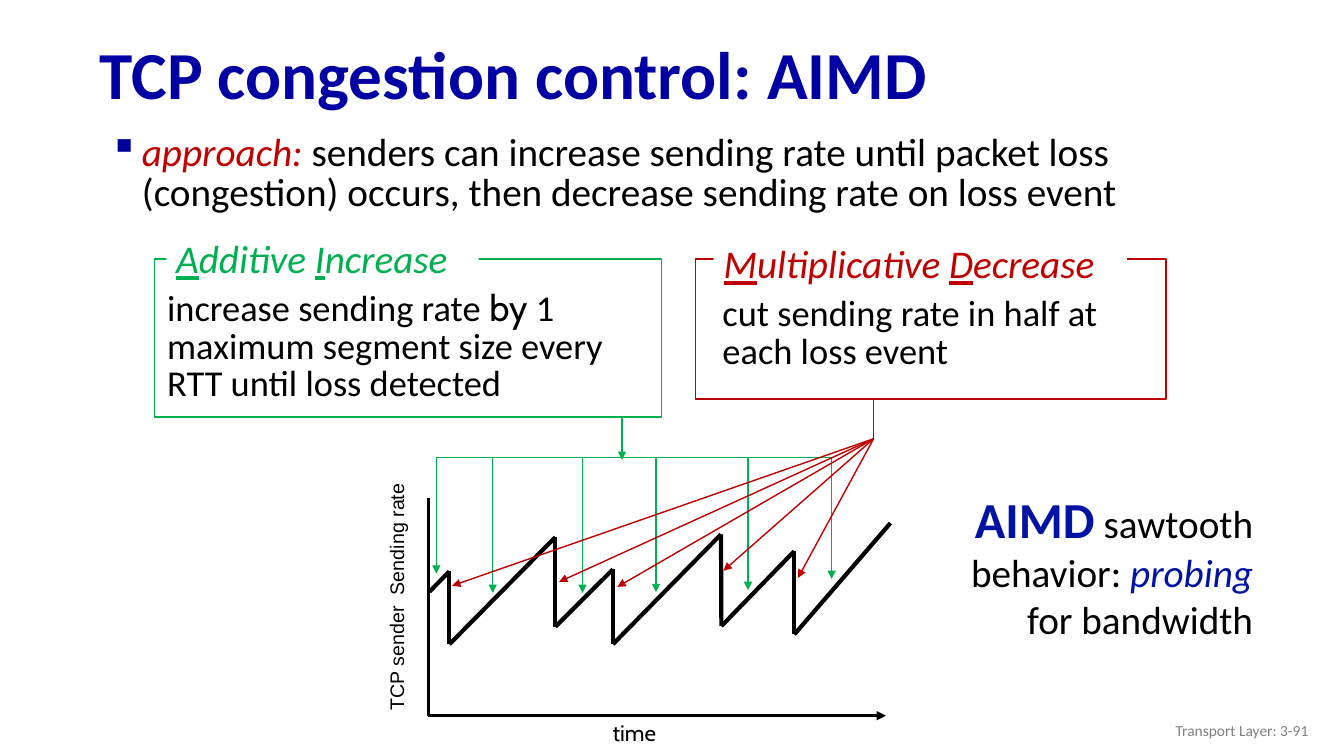
from dataclasses import dataclass
from itertools import pairwise

from lxml import etree
from pptx import Presentation
from pptx import util as u
from pptx.dml.color import RGBColor
from pptx.enum import shapes, text
from pptx.oxml.ns import qn

Pt = u.Pt


@dataclass(frozen=True)
class Theme:
    title: str = "0000A3"
    bullet: str = "000099"
    accent: str = "0013A3"
    ink: str = "000000"
    paper: str = "FFFFFF"
    grey: str = "808080"
    increase: str = "00B050"
    decrease: str = "C00000"
    font: str = "Calibri"
    axis_font: str = "Arial"
    alt_font: str = "Cabin"
    title_size: float = 48
    lead_size: float = 36
    body_size: float = 28
    panel_size: float = 26
    time_size: float = 16
    axis_size: float = 14
    footer_size: float = 11
    thin: float = 1
    axis_line: float = 2.25
    curve: float = 3


T = Theme()


def rgb(value):
    return RGBColor.from_string(value)


def write(p, runs, size=T.body_size, color=T.ink, font=T.font, align=None, spacing=None):
    """Fill a paragraph with (text, overrides) runs."""
    if align is not None:
        p.alignment = align
    if spacing:
        p.line_spacing = spacing
    for words, own in runs:
        r = p.add_run()
        r.text = words
        r.font.size = Pt(own.get("size", size))
        r.font.name = own.get("font", font)
        r.font.color.rgb = rgb(own.get("color", color))
        r.font.bold = own.get("bold", False)
        r.font.italic = own.get("italic", False)
        r.font.underline = own.get("underline", False)


def add_text(s, box, *paragraphs, wrap=True, grow=False, fill=None, indent=0, hang=0,
             bullet=None, anchor=text.MSO_ANCHOR.TOP, **fmt):
    """Add a text box, or a filled rectangle holding text."""
    at = [Pt(v) for v in box]
    if fill:
        sp = add_rect(s, box, fill)
        fmt.setdefault("align", text.PP_ALIGN.LEFT)
    else:
        sp = s.shapes.add_textbox(*at)
    tf = sp.text_frame
    tf.word_wrap = wrap
    tf.vertical_anchor = anchor
    if grow:
        tf.auto_size = text.MSO_AUTO_SIZE.SHAPE_TO_FIT_TEXT
    for i, runs in enumerate(paragraphs):
        p = tf.paragraphs[0] if i == 0 else tf.add_paragraph()
        pPr = p._p.get_or_add_pPr()
        if indent:
            pPr.set("marL", str(Pt(indent)))
            pPr.set("indent", str(-Pt(hang)))
        if bullet:
            clr = etree.SubElement(pPr, qn("a:buClr"))
            etree.SubElement(clr, qn("a:srgbClr"), val=T.bullet)
            etree.SubElement(pPr, qn("a:buChar"), char=bullet)
        write(p, runs, **fmt)
    return sp


def add_rect(s, box, fill, line=None):
    sp = s.shapes.add_shape(shapes.MSO_SHAPE.RECTANGLE, *(Pt(v) for v in box))
    sp.shadow.inherit = False
    sp.fill.solid()
    sp.fill.fore_color.rgb = rgb(fill)
    if line:
        sp.line.color.rgb = rgb(line)
        sp.line.width = Pt(T.thin)
    else:
        sp.line.fill.background()
    return sp


def add_line(s, start, end, color=T.ink, width=T.thin, arrow=False):
    c = s.shapes.add_connector(shapes.MSO_CONNECTOR.STRAIGHT, *(Pt(v) for v in (*start, *end)))
    c.line.color.rgb = rgb(color)
    c.line.width = Pt(width)
    if arrow:
        etree.SubElement(c.line._get_or_add_ln(), qn("a:tailEnd"), type="triangle")
    etree.SubElement(c._element.spPr, qn("a:effectLst"))


def heading(s, box):
    title = s.shapes.title
    title.left, title.top, title.width, title.height = (Pt(v) for v in box)
    tf = title.text_frame
    tf.word_wrap = True
    tf.vertical_anchor = text.MSO_ANCHOR.MIDDLE
    write(tf.paragraphs[0], [("TCP congestion control: AIMD", {"bold": True})],
          size=T.title_size, color=T.title, align=text.PP_ALIGN.LEFT, spacing=0.9)


def approach(s, box):
    add_text(s, box, [
        ("approach: ", {"color": T.decrease, "italic": True}),
        ("senders can increase sending rate until packet loss (congestion) occurs, "
         "then decrease sending rate on loss event", {})],
        indent=23, hang=23, bullet="▪", spacing=0.85)


def takeaway(s, box):
    add_text(s, box,
             [("AIMD", {"size": T.lead_size, "color": T.accent, "bold": True}),
              (" sawtooth", {})],
             [("behavior: ", {}), ("probing", {"color": T.accent, "italic": True})],
             [("for bandwidth", {})],
             wrap=False, grow=True, align=text.PP_ALIGN.RIGHT)


def sawtooth_chart(s, box):
    x, y, w, h = box
    # Sawtooth curve, as offsets from the top of the rate axis
    corners = [(0.7, 67), (15, 52.5), (15, 104.5), (90.7, 28), (90.7, 92), (131.8, 51),
               (131.8, 104.5), (209, 26), (209.3, 91.5), (261.4, 38), (261.4, 97.5), (330, 18)]
    for (x1, y1), (x2, y2) in pairwise(corners):
        add_line(s, (x + x1, y + y1), (x + x2, y + y2), width=T.curve)
    # Axes and their labels
    label = add_text(s, (x - 112.3, y + 57, 179.3, 24.5), [("TCP sender  Sending rate", {})],
                     fill=T.paper, grow=True, size=T.axis_size, font=T.axis_font)
    label.rotation = 270
    add_line(s, (x, y + h), (x + w, y + h), width=T.axis_line, arrow=True)
    add_line(s, (x, y), (x, y + h), width=T.axis_line)
    add_text(s, (x + 124.6, y + h - 0.7, 45.4, 26.6), [("time", {})],
             wrap=False, grow=True, size=T.time_size, font=T.alt_font)


def panel(s, box, color, name, name_box, body, body_box):
    """Outlined box with a heading across its top edge; inner boxes are offsets."""
    x, y = box[:2]
    add_rect(s, box, T.paper, color)
    dx, dy, *size = body_box
    add_text(s, (x + dx, y + dy, *size), body, indent=36, size=T.panel_size, spacing=0.85)
    dx, dy, *size = name_box
    initials = [run for word in name
                for run in ((word[0], {"italic": True, "underline": True}),
                            (word[1:], {"italic": True}))]
    add_text(s, (x + dx, y + dy, *size), initials, fill=T.paper, color=color, spacing=0.85)


def increase_arrows(s, box):
    x, y, w, h = box
    for dx, length in [(0.4, 82.8), (40.7, 96.5), (104.8, 96.5), (157.3, 96), (223, 94.5), (282.7, 86.5)]:
        add_line(s, (x + dx, y), (x + dx, y + length), T.increase, arrow=True)
    add_line(s, (x, y), (x + w, y), T.increase)
    add_line(s, (x + 133, y - h), (x + 133, y + 1.5), T.increase, arrow=True)


def decrease_arrows(s, box):
    x, y, h = box
    for dx, dy in [(-54, 99.4), (-301, 105), (-224.6, 102.2), (-183, 105.8), (-107.3, 94.3)]:
        add_line(s, (x, y), (x + dx, y + dy), T.decrease, arrow=True)
    add_line(s, (x, y), (x, y - h), T.decrease)


def aimd_slide(prs):
    s = prs.slides.add_slide(prs.slide_layouts[5])
    heading(s, (64, 20.2, 897, 70.6))
    approach(s, (71.3, 92.2, 809.3, 113.8))
    takeaway(s, (684, 344.9, 218.2, 118.8))
    sawtooth_chart(s, (306, 355.7, 326.9, 155.5))
    panel(s, (110.2, 185, 362.2, 113), T.increase,
          ("Additive ", "Increase"), (8.6, -15.8, 223.2, 35.3),
          [("increase sending rate ", {}), ("by ", {"font": T.alt_font}),
           ("1 maximum segment size every RTT until loss detected", {})],
          (-33.9, 20.2, 398.2, 113.8))
    panel(s, (496.8, 185, 336.2, 100), T.decrease,
          ("Multiplicative ", "Decrease"), (13, -12.2, 295.2, 35.3),
          [("cut sending rate in half at each loss event", {})],
          (-23.8, 23.8, 373.7, 64.8))
    increase_arrows(s, (311.3, 327, 283.5, 29))
    decrease_arrows(s, (624, 313.4, 28.4))
    add_text(s, (725.8, 507.6, 216, 28.8), [("Transport Layer: 3-91", {})],
             size=T.footer_size, color=T.grey, align=text.PP_ALIGN.RIGHT,
             anchor=text.MSO_ANCHOR.MIDDLE)


def main():
    prs = Presentation()
    prs.slide_width, prs.slide_height = Pt(960), Pt(540)
    aimd_slide(prs)
    prs.save("out.pptx")


if __name__ == "__main__":
    main()
